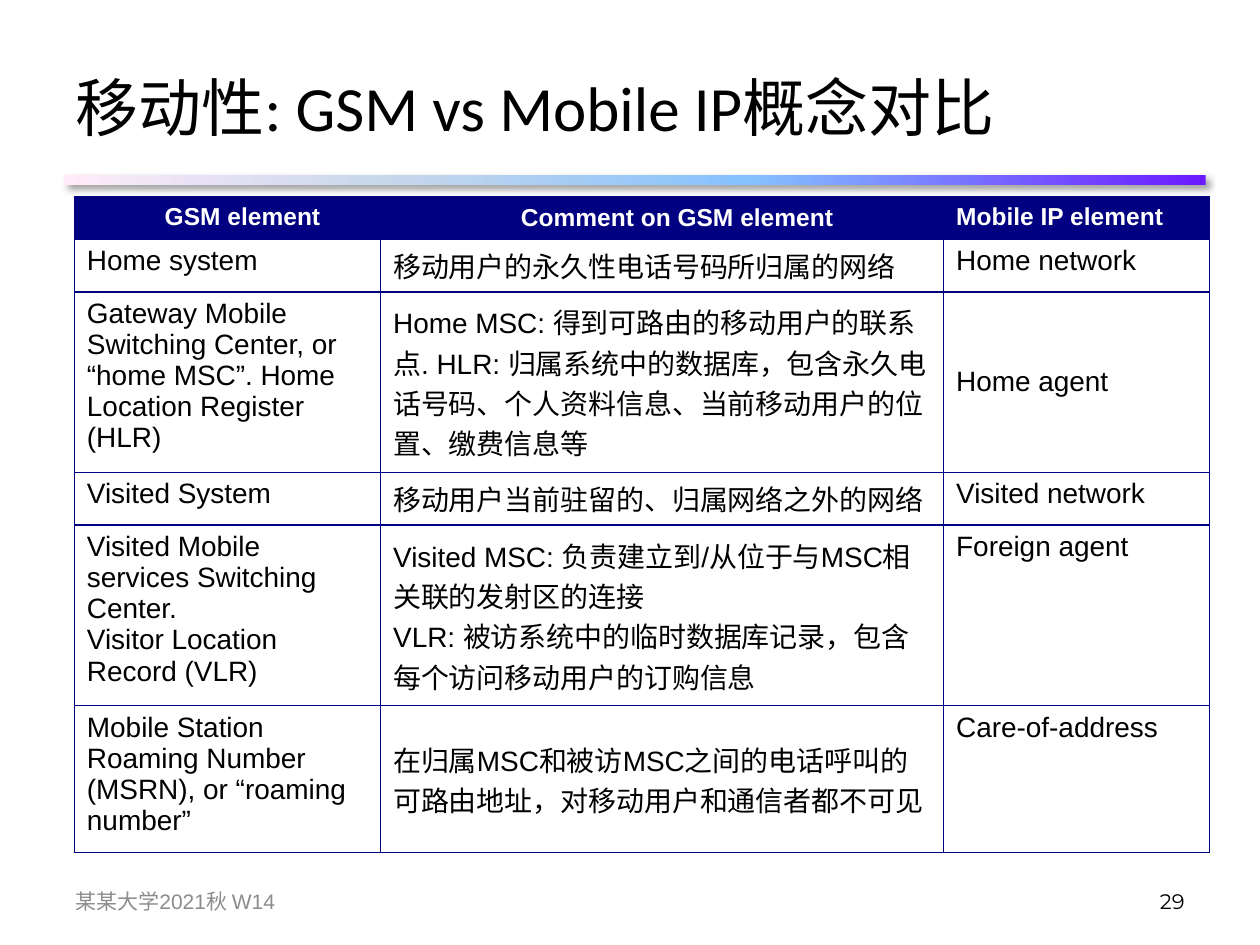
from lxml.etree import SubElement
from pptx import Presentation
from pptx.dml.color import RGBColor
from pptx.enum.shapes import MSO_SHAPE
from pptx.enum.text import MSO_ANCHOR, PP_ALIGN
from pptx.oxml import parse_xml
from pptx.oxml.ns import nsdecls, qn
from pptx.util import Pt

BLACK = RGBColor(0x00, 0x00, 0x00)
WHITE = RGBColor(0xFF, 0xFF, 0xFF)
GRAY = RGBColor(0x8C, 0x8C, 0x8C)
NAVY = RGBColor(0x00, 0x00, 0x80)
BAR_STOPS = [
    (0, RGBColor(0x6B, 0x19, 0xFF)),
    (40, RGBColor(0x85, 0xC2, 0xFF)),
    (70, RGBColor(0xC4, 0xD6, 0xEB)),
    (100, RGBColor(0xFF, 0xEB, 0xFA)),
]

TITLE = "移动性: GSM vs Mobile IP概念对比"
FOOTER = "某某大学2021秋 W14"
PAGE_NUMBER = "29"
HEADER = ("GSM element", "Comment on GSM element", "Mobile IP element")
ROWS = [
    ("Home system", "移动用户的永久性电话号码所归属的网络", "Home network"),
    ("Gateway Mobile Switching Center, or “home MSC”. Home Location Register (HLR)",
     "Home MSC: 得到可路由的移动用户的联系点. HLR: 归属系统中的数据库，"
     "包含永久电话号码、个人资料信息、当前移动用户的位置、缴费信息等",
     "Home agent"),
    ("Visited System", "移动用户当前驻留的、归属网络之外的网络", "Visited network"),
    ("Visited Mobile services Switching Center.\nVisitor Location Record (VLR)",
     "Visited MSC: 负责建立到/从位于与MSC相关联的发射区的连接\n"
     "VLR: 被访系统中的临时数据库记录，包含每个访问移动用户的订购信息",
     "Foreign agent"),
    ("Mobile Station Roaming Number (MSRN), or “roaming number”",
     "在归属MSC和被访MSC之间的电话呼叫的可路由地址，对移动用户和通信者都不可见",
     "Care-of-address"),
]
COLUMN_WIDTHS = (175, 14.4, 304.5, 152)
ROW_HEIGHTS = (24, 30.2, 103, 30.2, 103, 84)
HEADER_COLUMNS = (0, 2, 3)
BODY_COLUMNS = (0, 1, 3)


def write_text(frame, text, size, font="Arial", color=BLACK, bold=False,
               align=PP_ALIGN.LEFT):
    frame.word_wrap = True
    for index, line in enumerate(text.split("\n")):
        paragraph = frame.paragraphs[0] if index == 0 else frame.add_paragraph()
        paragraph.alignment = align
        run = paragraph.add_run()
        run.text = line
        run.font.size = Pt(size)
        run.font.name = font
        run.font.bold = bold
        run.font.color.rgb = color


def add_label(slide, left, text, **text_format):
    box = slide.shapes.add_textbox(Pt(left), Pt(500.5), Pt(168), Pt(28.8))
    box.text_frame.vertical_anchor = MSO_ANCHOR.MIDDLE
    write_text(box.text_frame, text, 12, **text_format)


def add_gradient_bar(slide):
    bar = slide.shapes.add_shape(
        MSO_SHAPE.RECTANGLE, Pt(36.7), Pt(100), Pt(652.3), Pt(5.8))
    bar.line.fill.background()
    stops = "".join(
        f'<a:gs pos="{position * 1000}"><a:srgbClr val="{color}"/></a:gs>'
        for position, color in BAR_STOPS)
    properties = bar._element.spPr
    outline = properties.find(qn("a:ln"))
    outline.addprevious(parse_xml(
        f'<a:gradFill {nsdecls("a")}><a:gsLst>{stops}</a:gsLst>'
        '<a:lin ang="10800000" scaled="0"/></a:gradFill>'))
    outline.addnext(parse_xml(
        f'<a:effectLst {nsdecls("a")}><a:outerShdw blurRad="{Pt(4)}" '
        f'dist="{Pt(3)}" dir="2700000"><a:srgbClr val="000000">'
        '<a:alpha val="40000"/></a:srgbClr></a:outerShdw></a:effectLst>'))


def set_borders(cell):
    properties = cell._tc.get_or_add_tcPr()
    for position, side in enumerate(("lnL", "lnR", "lnT", "lnB")):
        line = SubElement(properties, qn(f"a:{side}"), w=str(Pt(1)))
        fill = SubElement(line, qn("a:solidFill"))
        SubElement(fill, qn("a:srgbClr"), val=str(NAVY))
        properties.insert(position, line)


def add_comparison_table(slide):
    table = slide.shapes.add_table(
        len(ROW_HEIGHTS), len(COLUMN_WIDTHS), Pt(42.5), Pt(112.5),
        Pt(sum(COLUMN_WIDTHS)), Pt(sum(ROW_HEIGHTS))).table
    for column, width in zip(table.columns, COLUMN_WIDTHS):
        column.width = Pt(width)
    for row, height in zip(table.rows, ROW_HEIGHTS):
        row.height = Pt(height)
    for cell in table.iter_cells():
        cell.fill.background()
        set_borders(cell)

    table.cell(0, 0).merge(table.cell(0, 1))
    for column, text in zip(HEADER_COLUMNS, HEADER):
        cell = table.cell(0, column)
        cell.fill.solid()
        cell.fill.fore_color.rgb = NAVY
        align = PP_ALIGN.LEFT if column == 3 else PP_ALIGN.CENTER
        write_text(cell.text_frame, text, 14, color=WHITE, bold=True, align=align)
    table.cell(0, 2).vertical_anchor = MSO_ANCHOR.MIDDLE

    for row, texts in enumerate(ROWS, start=1):
        table.cell(row, 1).merge(table.cell(row, 2))
        for column, text in zip(BODY_COLUMNS, texts):
            cell = table.cell(row, column)
            if column == 1 or text == "Home agent":
                cell.vertical_anchor = MSO_ANCHOR.MIDDLE
            write_text(cell.text_frame, text, 16)


def main():
    presentation = Presentation()
    presentation.slide_width, presentation.slide_height = Pt(720), Pt(540)
    slide = presentation.slides.add_slide(presentation.slide_layouts[5])

    add_gradient_bar(slide)
    title = slide.shapes.title
    title.left, title.top, title.width, title.height = Pt(36), Pt(21.6), Pt(648), Pt(78.5)
    title.text_frame.vertical_anchor = MSO_ANCHOR.MIDDLE
    write_text(title.text_frame, TITLE, 36, font="Calibri")
    add_label(slide, 36, FOOTER, color=GRAY)
    add_label(slide, 516, PAGE_NUMBER, font="Montserrat", align=PP_ALIGN.RIGHT)
    add_comparison_table(slide)
    presentation.save("out.pptx")


if __name__ == "__main__":
    main()
